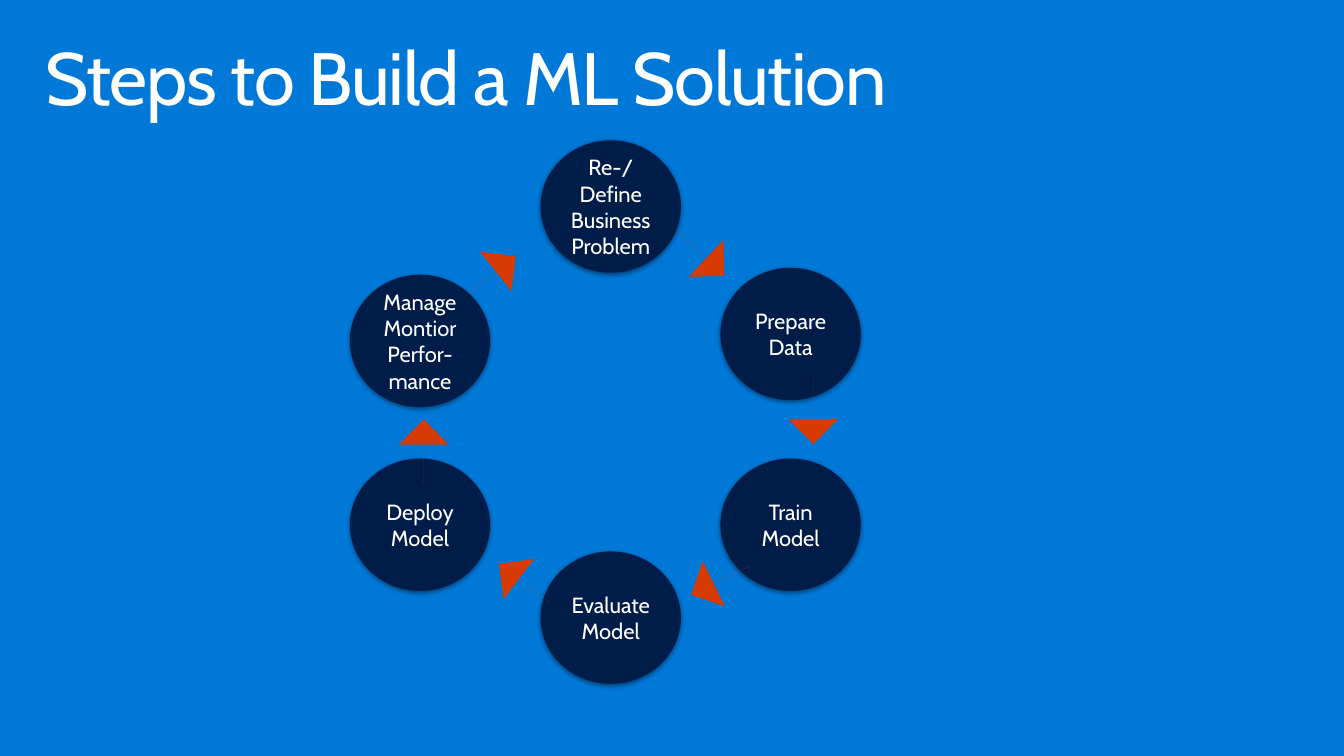
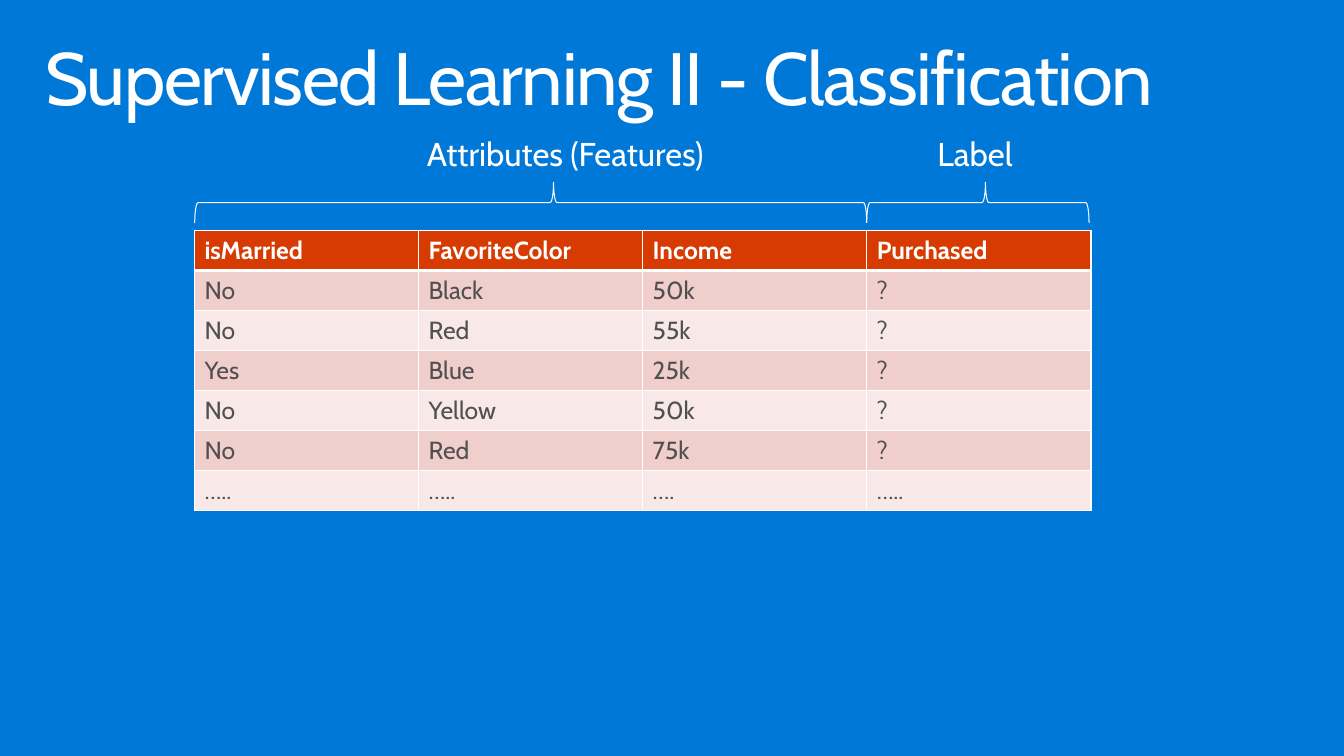
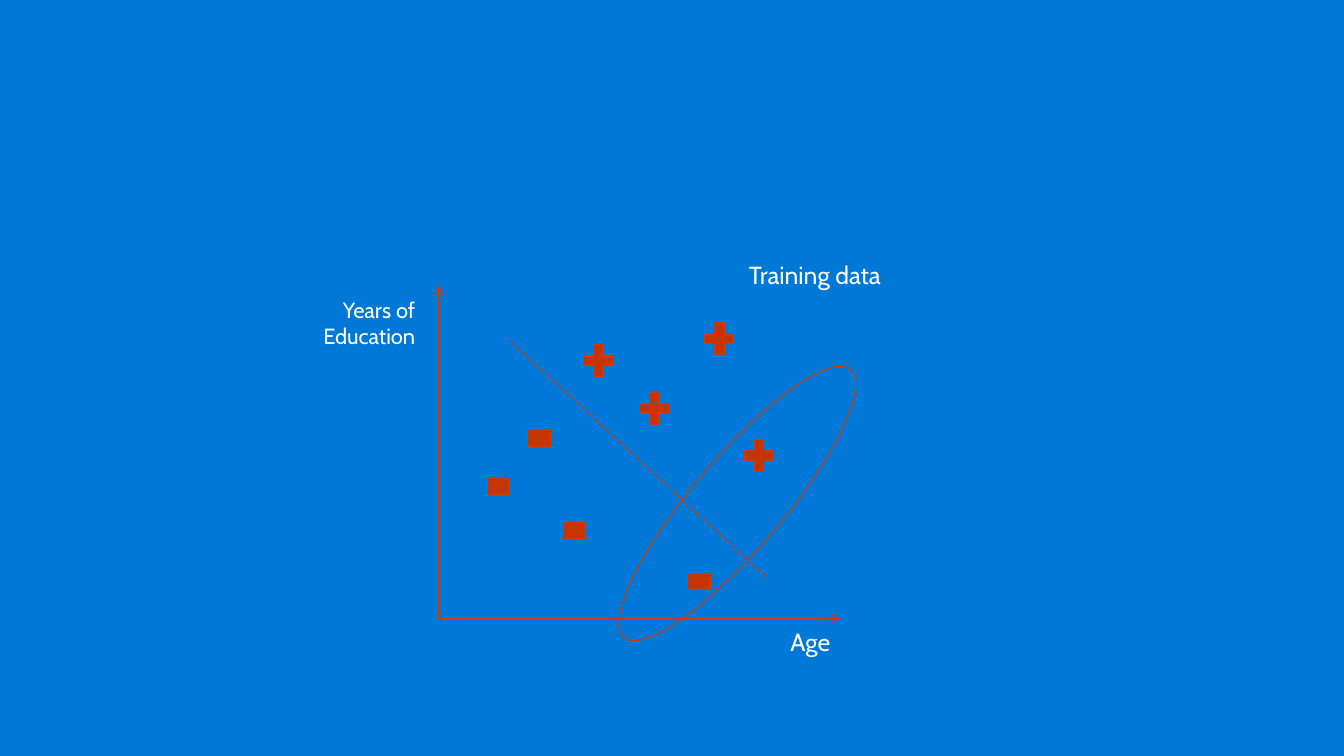
from dataclasses import dataclass

from lxml.etree import SubElement
from pptx import Presentation
from pptx.dml.color import RGBColor
from pptx.enum.dml import MSO_LINE
from pptx.enum.shapes import MSO_CONNECTOR, MSO_SHAPE
from pptx.enum.text import MSO_ANCHOR, MSO_AUTO_SIZE, PP_ALIGN
from pptx.oxml.ns import qn
from pptx.util import Inches, Pt


@dataclass(frozen=True)
class Theme:
    font: str = "Cabin"
    back: str = "0078D7"
    white: str = "FFFFFF"
    navy: str = "001D49"
    rust: str = "D83B01"
    mark: str = "C53500"
    grey: str = "505050"
    bands: tuple = ("F0CECC", "F8E8E7")
    head: int = 54
    label: int = 24
    text: int = 18
    small: int = 16
    thin: float = 0.75
    axis: float = 0.85


THEME = Theme()

NODE = (1.42, 1.34)
STEPS = [
    (5.47, 1.42, ["Re-/ Define Business Problem"]),
    (7.29, 2.71, ["Prepare\nData"]),
    (7.29, 4.64, ["Train\nModel"]),
    (5.47, 5.58, ["Evaluate\nModel"]),
    (3.54, 4.64, ["Deploy Model"]),
    (3.54, 2.78, ["Manage", "Montior Perfor-mance"]),
]

ARROW = (0.66, 0.51)
ARROWS = [
    (6.76, 2.31, 43.5),
    (7.9, 3.91, 90),
    (6.96, 5.62, 154),
    (4.98, 5.65, 217.2),
    (3.96, 4.32, 270),
    (4.63, 2.54, 321.6),
]

ROWS = [
    ["isMarried", "FavoriteColor", "Income", "Purchased"],
    ["No", "Black", "50k", "?"],
    ["No", "Red", "55k", "?"],
    ["Yes", "Blue", "25k", "?"],
    ["No", "Yellow", "50k", "?"],
    ["No", "Red", "75k", "?"],
    ["…..", "…..", "….", "….."],
]

PLUS = (0.4, 0.44)
PLUSES = [(5.85, 3.43), (6.42, 3.91), (7.08, 3.21), (7.48, 4.39)]
MINUS = (0.23, 0.17)
MINUSES = [(4.93, 4.83), (5.34, 4.35), (5.7, 5.28), (6.96, 5.8)]


def rgb(code):
    return RGBColor.from_string(code)


def box(*sizes):
    return [Inches(size) for size in sizes]


def style(para, size, color=THEME.white, bold=False, align=PP_ALIGN.LEFT):
    font = para.font
    font.name, font.size, font.bold = THEME.font, Pt(size), bold
    font.color.rgb = rgb(color)
    para.alignment = align


def inset(frame, side, end):
    frame.margin_left = frame.margin_right = Inches(side)
    frame.margin_top = frame.margin_bottom = Inches(end)


def paint(node, tag, color):
    """Add a solid colour inside a new child element."""
    part = SubElement(node, qn(tag))
    fill = SubElement(part, qn("a:solidFill"))
    SubElement(fill, qn("a:srgbClr"), val=color)
    return part


def add_title(slide, text):
    title = slide.shapes.title
    title.left, title.top, title.width, title.height = box(0.3, 0.32, 13, 1)
    frame = title.text_frame
    frame.vertical_anchor = MSO_ANCHOR.TOP
    frame.auto_size = MSO_AUTO_SIZE.NONE
    inset(frame, 0.16, 0.1)
    para = frame.paragraphs[0]
    para.text = text
    para.line_spacing = 0.9
    style(para, THEME.head)
    para._p.pPr.find(qn("a:defRPr")).set("spc", "-100")


def add_form(slide, kind, at, fill=None, line=None, turn=0, adjust=()):
    form = slide.shapes.add_shape(kind, *box(*at))
    form.shadow.inherit = False
    form.rotation = turn
    for index, value in enumerate(adjust):
        form.adjustments[index] = value
    if fill:
        form.fill.solid()
        form.fill.fore_color.rgb = rgb(fill)
    else:
        form.fill.background()
    if line:
        form.line.color.rgb = rgb(line)
        form.line.width = Pt(THEME.thin)
    else:
        form.line.fill.background()
    return form


def add_shade(form):
    """Give a shape a soft shadow below it."""
    effects = form._element.spPr.find(qn("a:effectLst"))
    shade = SubElement(effects, qn("a:outerShdw"), blurRad=str(Pt(3.5)),
                       dist=str(Pt(1.1)), dir="5400000", rotWithShape="0")
    color = SubElement(shade, qn("a:srgbClr"), val="000000")
    SubElement(color, qn("a:alpha"), val="45000")


def add_node(slide, left, top, lines):
    node = add_form(slide, MSO_SHAPE.OVAL, (left, top, *NODE), THEME.navy)
    add_shade(node)
    frame = node.text_frame
    frame.word_wrap = True
    frame.vertical_anchor = MSO_ANCHOR.MIDDLE
    inset(frame, 0, 0.05)
    for index, line in enumerate(lines):
        para = frame.add_paragraph() if index else frame.paragraphs[0]
        para.text = line
        style(para, THEME.small, align=PP_ALIGN.CENTER)


def add_text(slide, at, text, size=THEME.text, align=PP_ALIGN.LEFT):
    frame = slide.shapes.add_textbox(*box(*at)).text_frame
    frame.word_wrap = True
    frame.auto_size = MSO_AUTO_SIZE.SHAPE_TO_FIT_TEXT
    para = frame.paragraphs[0]
    para.text = text
    style(para, size, align=align)
    return frame


def add_label(slide, left, text, align=PP_ALIGN.LEFT):
    frame = add_text(slide, (left, 1.24, 3.39, 0.69), text, THEME.label, align)
    inset(frame, 0.2, 0.16)
    para = frame.paragraphs[0]
    para.line_spacing = 0.9
    para.space_after = Pt(6)


def add_brace(slide, left, span):
    """Draw a brace that lies on its side over the given span."""
    deep, middle = 0.41, 2.05
    at = (left + (span - deep) / 2, middle - span / 2, deep, span)
    add_form(slide, MSO_SHAPE.LEFT_BRACE, at, line=THEME.white, turn=90,
             adjust=(0.083, 0.466))


def add_line(slide, start, end, arrow=False, dash=False):
    line = slide.shapes.add_connector(
        MSO_CONNECTOR.STRAIGHT, *box(*start, *end))
    line.line.color.rgb = rgb(THEME.rust)
    line.line.width = Pt(THEME.axis)
    if dash:
        line.line.dash_style = MSO_LINE.DASH
    if arrow:
        SubElement(line.line._get_or_add_ln(), qn("a:tailEnd"), type="arrow")
    SubElement(line._element.spPr, qn("a:effectLst"))


def add_edges(cell, top, bottom):
    props = cell._tc.get_or_add_tcPr()
    widths = {"a:lnL": 1, "a:lnR": 1, "a:lnT": top, "a:lnB": bottom}
    for tag, width in widths.items():
        paint(props, tag, THEME.white).set("w", str(Pt(width)))


def add_grid(slide, at, rows):
    grid = slide.shapes.add_table(len(rows), len(rows[0]), *box(*at)).table
    grid.horz_banding = False
    for y, row in enumerate(rows):
        head = y == 0
        fill = THEME.rust if head else THEME.bands[(y - 1) % 2]
        for x, text in enumerate(row):
            cell = grid.cell(y, x)
            para = cell.text_frame.paragraphs[0]
            para.text = text
            style(para, THEME.text, THEME.white if head else THEME.grey, head)
            add_edges(cell, 3 if y == 1 else 1, 3 if head else 1)
            cell.fill.solid()
            cell.fill.fore_color.rgb = rgb(fill)


def draw_cycle(slide):
    add_title(slide, "Steps to Build a ML Solution")
    for step in STEPS:
        add_node(slide, *step)
    for left, top, turn in ARROWS:
        add_form(slide, MSO_SHAPE.RIGHT_ARROW, (left, top, *ARROW),
                 THEME.rust, turn=turn, adjust=(0, 0.5))


def draw_table(slide):
    add_title(slide, "Supervised Learning II - Classification")
    add_grid(slide, (1.97, 2.33, 9.07, 2.84), ROWS)
    add_brace(slide, 1.97, 6.8)
    add_brace(slide, 8.77, 2.25)
    add_label(slide, 4.12, "Attributes (Features)")
    add_label(slide, 8.17, "Label", PP_ALIGN.CENTER)


def draw_plot(slide):
    origin = (4.44, 6.26)
    add_line(slide, origin, (8.5, 6.26), arrow=True)
    add_line(slide, origin, (4.44, 2.89), arrow=True)
    add_text(slide, (3.08, 2.95, 1.22, 0.64), "Years of Education",
             THEME.small, PP_ALIGN.RIGHT)
    add_text(slide, (7.28, 6.29, 1.22, 0.4), "Age", align=PP_ALIGN.RIGHT)
    add_text(slide, (7.48, 2.58, 2.7, 0.4), "Training data")
    marks = [(MSO_SHAPE.MATH_PLUS, PLUS, PLUSES),
             (MSO_SHAPE.RECTANGLE, MINUS, MINUSES)]
    for kind, size, spots in marks:
        for spot in spots:
            add_form(slide, kind, (*spot, *size), THEME.mark, THEME.rust)
    add_form(slide, MSO_SHAPE.OVAL, (7, 3.32, 0.92, 3.55),
             line=THEME.rust, turn=40.2)
    add_line(slide, (5.16, 3.45), (7.74, 5.83), dash=True)


def main():
    deck = Presentation()
    deck.slide_width, deck.slide_height = box(13.6, 7.65)
    back = deck.slide_master.background.fill
    back.solid()
    back.fore_color.rgb = rgb(THEME.back)
    titled, blank = deck.slide_layouts[5], deck.slide_layouts[6]
    pages = [(titled, draw_cycle), (titled, draw_table), (blank, draw_plot)]
    for layout, draw in pages:
        draw(deck.slides.add_slide(layout))
    deck.save("out.pptx")


if __name__ == "__main__":
    main()
